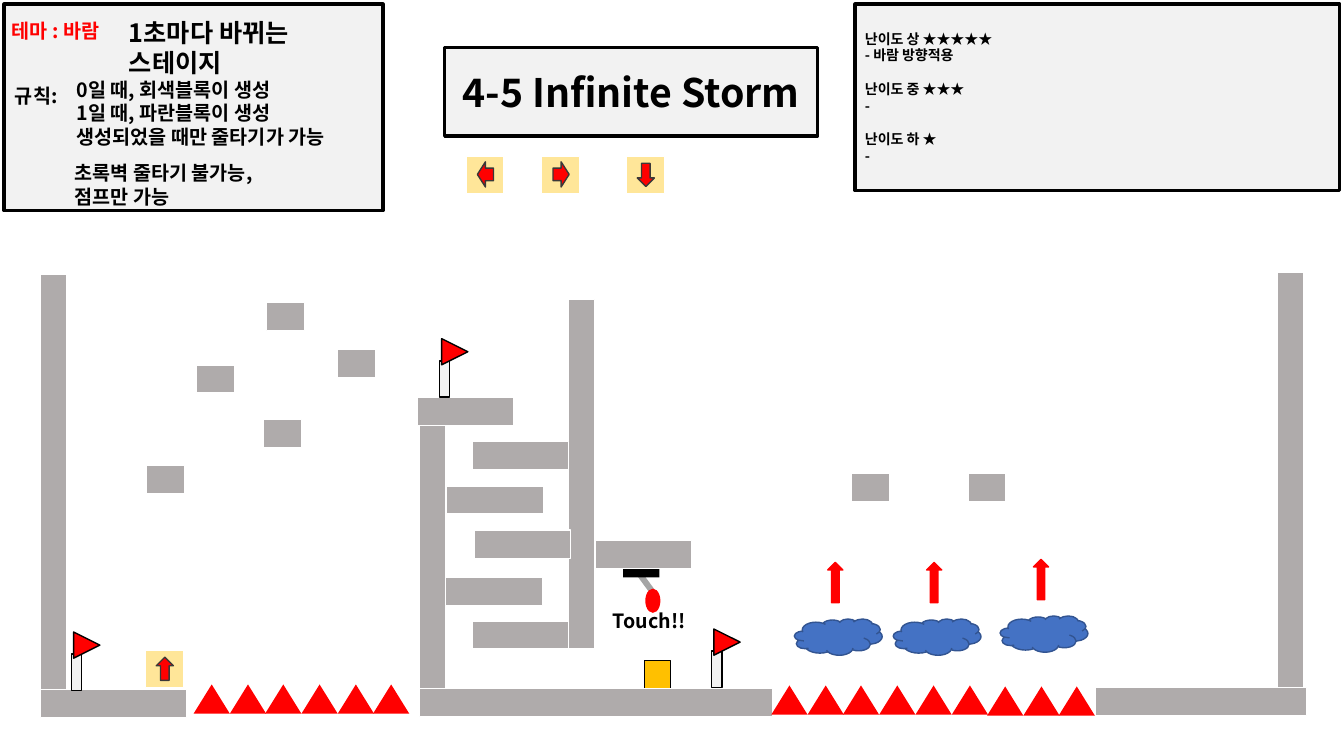
from dataclasses import dataclass

from lxml import etree
from pptx import Presentation
from pptx.dml.color import RGBColor
from pptx.enum.shapes import MSO_SHAPE
from pptx.enum.text import MSO_ANCHOR, MSO_AUTO_SIZE, PP_ALIGN
from pptx.oxml.ns import qn
from pptx.shapes.autoshape import Shape
from pptx.shapes.shapetree import GroupShapes, SlideShapes
from pptx.text.text import TextFrame
from pptx.util import Pt

RECT, TRIANGLE, CLOUD = MSO_SHAPE.RECTANGLE, MSO_SHAPE.ISOSCELES_TRIANGLE, MSO_SHAPE.CLOUD
OVAL, UP_ARROW = MSO_SHAPE.OVAL, MSO_SHAPE.UP_ARROW
LEFT, CENTER = PP_ALIGN.LEFT, PP_ALIGN.CENTER
TOP, MIDDLE = MSO_ANCHOR.TOP, MSO_ANCHOR.MIDDLE
NO_FIT, GROW = MSO_AUTO_SIZE.NONE, MSO_AUTO_SIZE.SHAPE_TO_FIT_TEXT

EMU_PER_PX = 9144  # 100 px to the inch
FONT = "Noto Sans CJK KR"
TITLE_ONLY = 5
COLORS = {
    "black": "000000", "white": "FFFFFF", "panel": "F2F2F2", "red": "FF0000",
    "block": "AFABAB", "lever": "A5A5A5", "card": "FFE699", "arrow_edge": "3B3838",
    "coin": "FFC000", "cloud": "4472C4", "cloud_edge": "325491",
}
PANEL_FRAME = {"word_wrap": True, "auto_size": NO_FIT, "vertical_anchor": MIDDLE}
LABEL_FRAME = {"word_wrap": True, "auto_size": GROW, "vertical_anchor": TOP}

Shapes = SlideShapes | GroupShapes


@dataclass(frozen=True)
class Box:
    left: int
    top: int
    width: int
    height: int

    def emu(self) -> list[int]:
        return [n * EMU_PER_PX for n in (self.left, self.top, self.width, self.height)]


@dataclass(frozen=True)
class Label:
    box: Box
    lines: list[str]
    size: int = 14
    color: str = "black"


@dataclass(frozen=True)
class Difficulty:
    level: str
    stars: str
    note: str


@dataclass(frozen=True)
class Spikes:
    left: int
    top: int
    count: int


@dataclass(frozen=True)
class WindCard:
    left: int
    top: int
    turn: int
    arrow_width: int
    arrow_height: int


def rgb(name: str) -> RGBColor:
    return RGBColor.from_string(COLORS[name])


def paint(shape: Shape, fill: str, edge: str | None, weight: float) -> None:
    shape.fill.solid()
    shape.fill.fore_color.rgb = rgb(fill)
    if edge:
        shape.line.color.rgb = rgb(edge)
        shape.line.width = Pt(weight)
    else:
        shape.line.fill.background()


def draw(shapes: Shapes, kind: MSO_SHAPE, box: Box, fill: str, edge: str | None = None,
         weight: float = 1, turn: float = 0) -> Shape:
    shape = shapes.add_shape(kind, *box.emu())
    shape.shadow.inherit = False
    shape.rotation = turn
    paint(shape, fill, edge, weight)
    return shape


def format_frame(frame: TextFrame, values: dict) -> None:
    for name, value in values.items():
        setattr(frame, name, value)


def write(frame: TextFrame, lines: list[list[tuple[str, bool]]], size: int,
          color: str = "black", align: PP_ALIGN = LEFT) -> None:
    for row, runs in enumerate(lines):
        paragraph = frame.add_paragraph() if row else frame.paragraphs[0]
        paragraph.alignment = align
        for text, bold in runs:
            run = paragraph.add_run()
            run.text = text
            for name, value in {"size": Pt(size), "name": FONT, "bold": bold}.items():
                setattr(run.font, name, value)
            run.font.color.rgb = rgb(color)
            etree.SubElement(run._r.get_or_add_rPr(), qn("a:ea"), typeface=FONT)


def draw_label(shapes: Shapes, label: Label) -> None:
    frame = shapes.add_textbox(*label.box.emu()).text_frame
    format_frame(frame, LABEL_FRAME)
    write(frame, [[(line, True)] for line in label.lines], label.size, label.color)


def draw_spikes(shapes: Shapes, spikes: Spikes) -> None:
    for i in range(spikes.count):
        draw(shapes, TRIANGLE, Box(round(spikes.left + i * 35.7), spikes.top, 36, 29), "red")


def draw_flag(shapes: Shapes, left: int, top: int) -> None:
    flag = shapes.add_group_shape().shapes
    draw(flag, RECT, Box(left, top, 10, 36), "panel", "black")
    draw(flag, TRIANGLE, Box(left + 2, top - 22, 26, 26), "red", "black", turn=90)


def draw_card(shapes: Shapes, card: WindCard) -> None:
    group = shapes.add_group_shape().shapes
    width, height = card.arrow_width, card.arrow_height
    draw(group, RECT, Box(card.left, card.top, 38, 37), "card", "white")
    arrow = Box(card.left + 19 - width // 2, card.top + 18 - height // 2, width, height)
    draw(group, UP_ARROW, arrow, "red", "arrow_edge", turn=card.turn)


def draw_gust(shapes: Shapes, left: int, top: int) -> None:
    draw(shapes, CLOUD, Box(left, top, 87, 36), "cloud", "cloud_edge")
    draw(shapes, UP_ARROW, Box(left + 33, top - 56, 15, 40), "red", "red")


DIFFICULTIES = [
    Difficulty("난이도 상 ", "★★★★★", "- 바람 방향적용"),
    Difficulty("난이도 중 ", "★★★", "-"),
    Difficulty("난이도 하 ", "★", "-"),
]
LABELS = [
    Label(Box(118, 12, 240, 71), ["1초마다 바뀌는", "스테이지"], 18),
    Label(Box(2, 14, 146, 34), ["테마 : 바람"], color="red"),
    Label(Box(5, 78, 62, 34), ["규칙:"]),
    Label(Box(66, 72, 305, 81),
          ["0일 때, 회색블록이 생성", "1일 때, 파란블록이 생성", "생성되었을 때만 줄타기가 가능"]),
    Label(Box(64, 155, 305, 57), ["초록벽 줄타기 불가능,", "점프만 가능"]),
    Label(Box(598, 599, 104, 34), ["Touch!!"]),
]
WALLS = [Box(40, 272, 26, 412), Box(1267, 270, 26, 412),
         Box(564, 297, 26, 347), Box(416, 421, 26, 263)]
FLOORS = [Box(40, 684, 145, 28), Box(416, 683, 350, 28), Box(1086, 682, 210, 28)]
LEDGES = [Box(left, top, 96, 28) for left, top in (
    (414, 394), (468, 438), (443, 482), (470, 526), (442, 573), (468, 616), (590, 536))]
STEPS = [Box(left, top, 38, 28) for left, top in (
    (145, 462), (261, 416), (195, 362), (264, 300), (335, 347), (844, 470), (960, 470))]
SPIKES = [Spikes(192, 679, 6), Spikes(765, 680, 6), Spikes(979, 681, 3)]
FLAGS = [(71, 649), (436, 358), (706, 646)]
GUSTS = [(788, 614), (886, 614), (992, 611)]
CARDS = [WindCard(144, 645, 0, 17, 23), WindCard(537, 155, 90, 25, 16),
         WindCard(621, 155, 180, 17, 23), WindCard(462, 155, 270, 25, 16)]


def main() -> None:
    deck = Presentation()
    deck.slide_width, deck.slide_height = 1333 * EMU_PER_PX, 750 * EMU_PER_PX
    slide = deck.slides.add_slide(deck.slide_layouts[TITLE_ONLY])
    shapes = slide.shapes

    # Stage title
    stage = shapes.title
    stage.left, stage.top, stage.width, stage.height = Box(441, 47, 370, 88).emu()
    paint(stage, "panel", "black", 2.25)
    format_frame(stage.text_frame, PANEL_FRAME)
    write(stage.text_frame, [[("4-5 Infinite Storm", True)]], 28, align=CENTER)

    # Rules and difficulty panels
    draw(shapes, RECT, Box(4, 4, 376, 205), "panel", "black", 2.25)
    difficulty = draw(shapes, RECT, Box(848, 4, 481, 185), "panel", "black", 2.25).text_frame
    format_frame(difficulty, PANEL_FRAME)
    lines = []
    for item in DIFFICULTIES:
        lines += [[(item.level, True), (item.stars, False)], [(item.note, True)]]
    write(difficulty, lines, 10)
    for heading in difficulty.paragraphs[2::2]:
        heading.space_before = Pt(12)

    # Hanging switch and coin, partly under the blocks
    switch = shapes.add_group_shape().shapes
    draw(switch, RECT, Box(625, 573, 28, 6), "lever", turn=53.6)
    draw(switch, OVAL, Box(640, 584, 15, 24), "red")
    draw(switch, RECT, Box(618, 560, 36, 13), "black")
    draw(shapes, RECT, Box(639, 655, 26, 28), "coin", "black")

    # Blocks
    for block in WALLS + FLOORS + LEDGES + STEPS:
        draw(shapes, RECT, block, "block", "white")

    # Hazards, checkpoints and wind
    for spikes in SPIKES:
        draw_spikes(shapes, spikes)
    for left, top in FLAGS:
        draw_flag(shapes, left, top)
    for left, top in GUSTS:
        draw_gust(shapes, left, top)
    for card in CARDS:
        draw_card(shapes, card)

    # Labels
    for label in LABELS:
        draw_label(shapes, label)

    deck.save("out.pptx")


if __name__ == "__main__":
    main()
